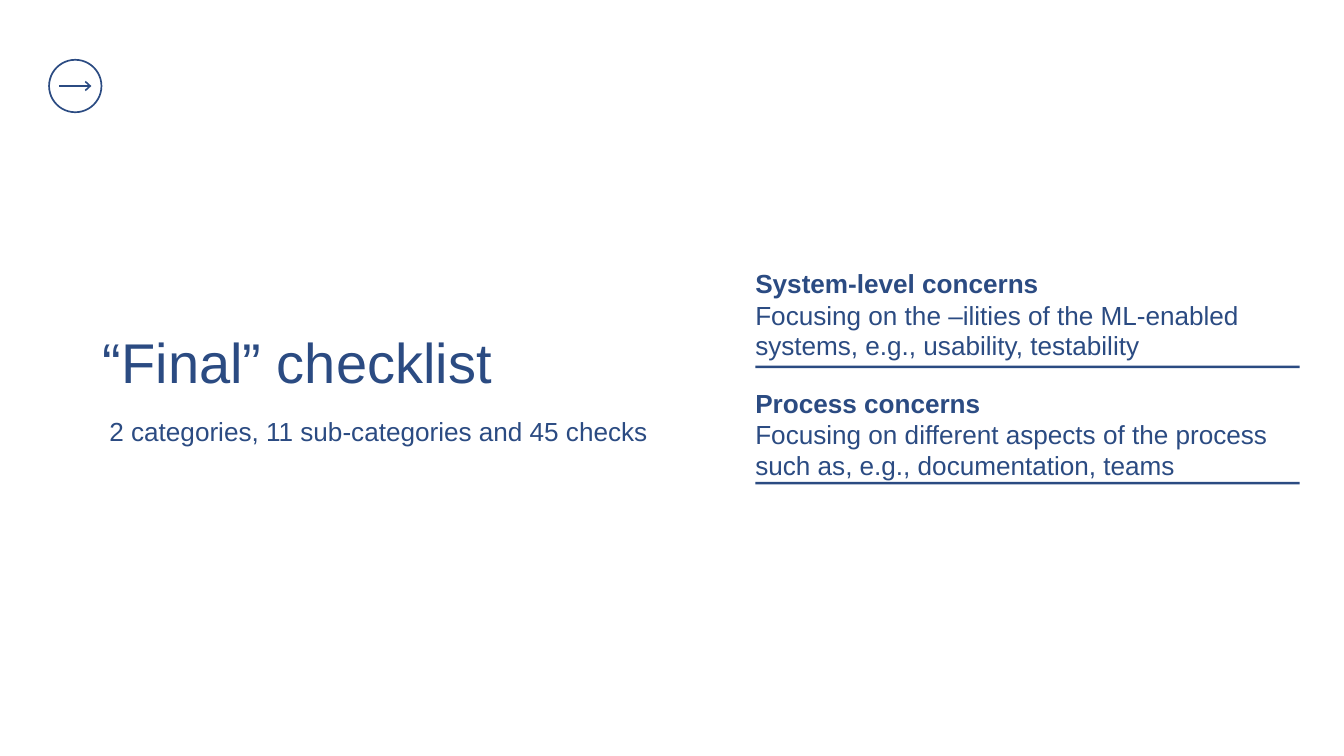
import pptx
import pptx.dml.color
import pptx.enum.shapes
import pptx.enum.text
import pptx.oxml
import pptx.oxml.ns
import pptx.util
from pptx.util import Inches

COLORS = {"ink": "2B4B82", "paper": "FFFFFF"}
FONT = "Arial"
SHAPES = pptx.enum.shapes.MSO_SHAPE


def color(name):
    return pptx.dml.color.RGBColor.from_string(COLORS[name])


def add_text(page, left, top, width, height, text, size=28, bold=False,
             spacing=None, inset=(0, 0)):
    """Place one paragraph; inset is (horizontal, vertical) in inches."""
    box = page.shapes.add_textbox(Inches(left), Inches(top), Inches(width), Inches(height))
    frame = box.text_frame
    frame.word_wrap = True
    frame.auto_size = pptx.enum.text.MSO_AUTO_SIZE.SHAPE_TO_FIT_TEXT
    frame.margin_left = frame.margin_right = Inches(inset[0])
    frame.margin_top = frame.margin_bottom = Inches(inset[1])
    para = frame.paragraphs[0]
    para.text = text
    para.line_spacing = spacing
    para.font.name = FONT
    para.font.size = pptx.util.Pt(size)
    para.font.bold = bold
    para.font.color.rgb = color("ink")


def add_arrow_icon(page, left, top, size):
    """Draw a ring with an arrow pointing right inside it."""
    ring = page.shapes.add_shape(SHAPES.OVAL, Inches(left), Inches(top),
                                 Inches(size), Inches(size))
    ring.shadow.inherit = False
    ring.fill.background()
    ring.line.color.rgb = color("ink")
    ring.line.width = pptx.util.Pt(1.8)

    middle = Inches(top + size / 2)
    arrow = page.shapes.add_connector(
        pptx.enum.shapes.MSO_CONNECTOR.STRAIGHT,
        Inches(left + 0.15), middle, Inches(left + size - 0.15), middle)
    arrow.line.color.rgb = color("ink")
    arrow.line.width = pptx.util.Pt(2)
    line = arrow.line._get_or_add_ln()
    head = pptx.oxml.parse_xml(
        f'<a:tailEnd {pptx.oxml.ns.nsdecls("a")} type="arrow" w="lg" len="med"/>')
    line.append(head)
    arrow._element.spPr.append(
        pptx.oxml.parse_xml(f'<a:effectLst {pptx.oxml.ns.nsdecls("a")}/>'))


def add_heading(page, left, top, width):
    add_text(page, left, top, width, 0.84, "“Final” checklist", size=60)
    add_text(page, left, top + 1.26, width + 0.23, 0.57,
             "2 categories, 11 sub-categories and 45 checks", inset=(0.1, 0.05))


def add_concern(page, left, top, width, rule_offset, title, detail):
    """Place a bold title, its explanation and a rule below them."""
    add_text(page, left, top, width, 0.41, title, bold=True, spacing=1.05)
    add_text(page, left, top + 0.52, width, 0.76, detail, spacing=0.97)
    rule = page.shapes.add_shape(SHAPES.RECTANGLE, Inches(left), Inches(top + rule_offset),
                                 Inches(width), Inches(0.04))
    rule.shadow.inherit = False
    rule.fill.solid()
    rule.fill.fore_color.rgb = color("ink")
    rule.line.fill.background()


def main():
    deck = pptx.Presentation()
    deck.slide_width, deck.slide_height = Inches(20), Inches(11.25)
    page = deck.slides.add_slide(deck.slide_layouts[6])
    page.background.fill.solid()
    page.background.fill.fore_color.rgb = color("paper")

    add_arrow_icon(page, 0.73, 0.89, 0.78)
    add_heading(page, 1.53, 4.87, 9.11)
    concerns = [
        (3.96, 1.48, "System-level concerns",
         "Focusing on the –ilities of the ML-enabled systems, e.g., usability, testability"),
        (5.74, 1.43, "Process concerns",
         "Focusing on different aspects of the process such as, e.g., documentation, teams"),
    ]
    for top, rule_offset, title, detail in concerns:
        add_concern(page, 11.24, top, 8.1, rule_offset, title, detail)
    deck.save("out.pptx")


if __name__ == "__main__":
    main()
